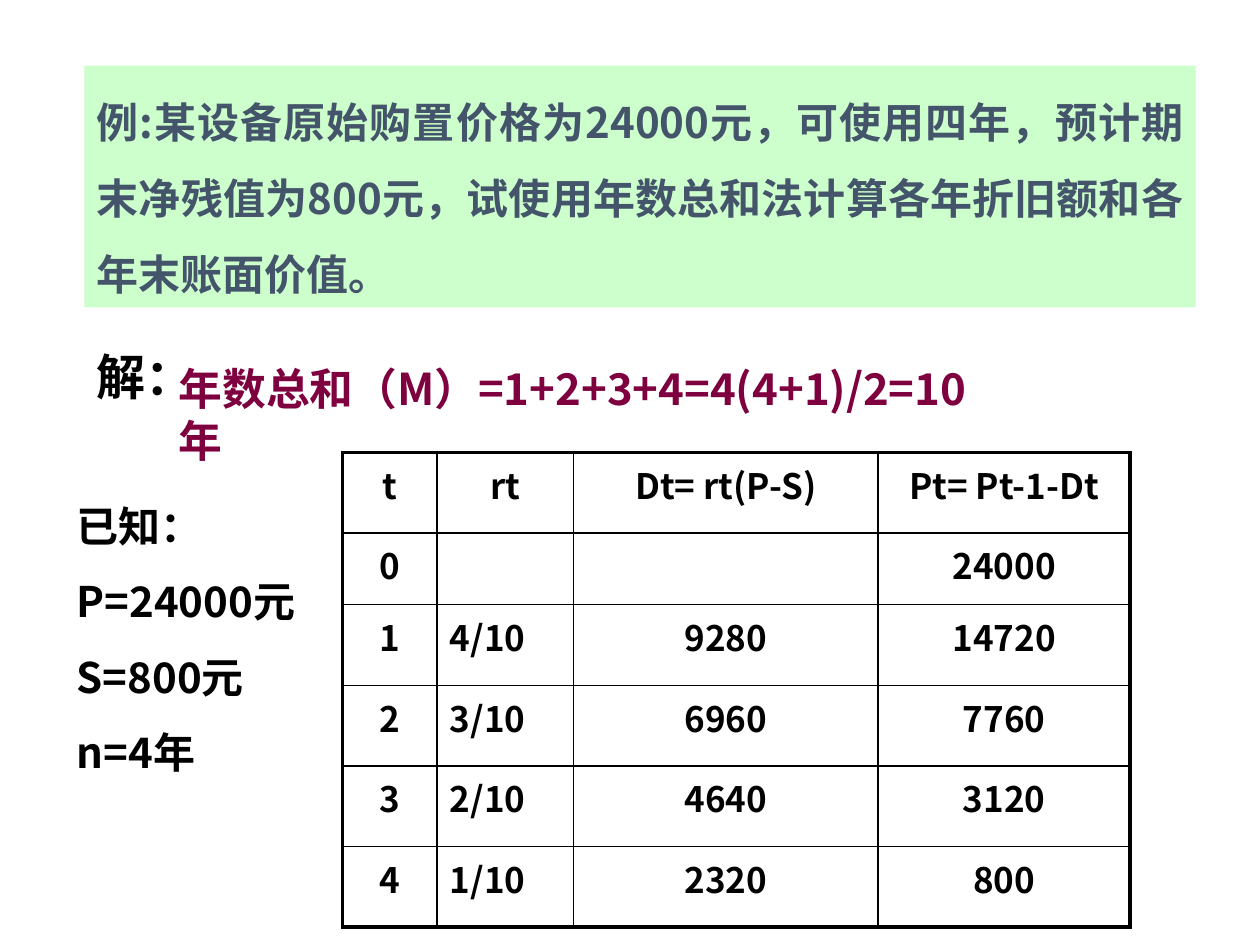
"""Build the sum-of-years-digits depreciation example slide."""
import pptx
import pptx.util
import pptx.dml.color
import pptx.enum.shapes
import pptx.enum.text
import pptx.oxml.ns
import lxml.etree

Inches, Pt = pptx.util.Inches, pptx.util.Pt
ALIGN = pptx.enum.text.PP_ALIGN
SANS, SERIF = "Noto Sans CJK SC", "Times New Roman"
COLORS = {"panel": "CCFFCC", "question": "44546A", "ink": "000000", "formula": "7F003F"}


def write(frame, text, size, color, font=SANS, align=ALIGN.LEFT, spacing=None, before=None):
    frame.text = text
    frame.word_wrap = True
    for paragraph in frame.paragraphs:
        paragraph.alignment = align
        paragraph.line_spacing = spacing
        paragraph.space_before = before
        for run in paragraph.runs:
            run.font.size, run.font.bold, run.font.name = Pt(size), True, font
            run.font.color.rgb = pptx.dml.color.RGBColor.from_string(COLORS[color])
            east_asian = lxml.etree.SubElement(run.font._element, pptx.oxml.ns.qn("a:ea"))
            east_asian.set("typeface", SANS)


def draw_border(cell, side, width):
    properties = cell._tc.get_or_add_tcPr()
    line = lxml.etree.SubElement(properties, pptx.oxml.ns.qn(f"a:ln{side}"), w=str(Pt(width)))
    fill = lxml.etree.SubElement(line, pptx.oxml.ns.qn("a:solidFill"))
    lxml.etree.SubElement(fill, pptx.oxml.ns.qn("a:srgbClr"), val=COLORS["ink"])


deck = pptx.Presentation()
deck.slide_width, deck.slide_height = Inches(10), Inches(7.5)
slide = deck.slides.add_slide(deck.slide_layouts[6])

question = slide.shapes.add_shape(
    pptx.enum.shapes.MSO_SHAPE.RECTANGLE, Inches(0.67), Inches(0.52), Inches(8.82), Inches(1.92))
question.shadow.inherit = False
question.fill.solid()
question.fill.fore_color.rgb = pptx.dml.color.RGBColor.from_string(COLORS["panel"])
question.line.fill.background()
question.text_frame.vertical_anchor = pptx.enum.text.MSO_ANCHOR.TOP
write(question.text_frame,
      "例:某设备原始购置价格为24000元，可使用四年，预计期末净残值为800元，"
      "试使用年数总和法计算各年折旧额和各年末账面价值。",
      24, "question", align=ALIGN.JUSTIFY, spacing=1.5)

schedule = [
    ["t", "rt", "Dt= rt(P-S)", "Pt= Pt-1-Dt"],
    ["0", "", "", "24000"],
    ["1", "4/10", "9280", "14720"],
    ["2", "3/10", "6960", "7760"],
    ["3", "2/10", "4640", "3120"],
    ["4", "1/10", "2320", "800"],
]
column_widths = [0.75, 1.08, 2.42, 2]
row_heights = [0.64, 0.57, 0.64, 0.64, 0.64, 0.64]
last_row, last_column = len(row_heights) - 1, len(column_widths) - 1
table = slide.shapes.add_table(
    len(row_heights), len(column_widths), Inches(2.72), Inches(3.59),
    Inches(sum(column_widths)), Inches(sum(row_heights))).table
table.first_row = table.horz_banding = False
for column, width in zip(table.columns, column_widths):
    column.width = Inches(width)
for r, (values, height) in enumerate(zip(schedule, row_heights)):
    table.rows[r].height = Inches(height)
    for c, value in enumerate(values):
        cell = table.cell(r, c)
        is_rate = c == 1 and r > 0
        write(cell.text_frame, value, 20, "ink", before=Pt(4),
              align=ALIGN.LEFT if is_rate else ALIGN.CENTER)
        outer_edges = {"L": c == 0, "R": c == last_column, "T": r == 0, "B": r == last_row}
        for side, is_outer in outer_edges.items():
            draw_border(cell, side, 2.25 if is_outer else 1)
        cell.fill.background()

givens = slide.shapes.add_textbox(Inches(0.51), Inches(3.72), Inches(2.12), Inches(2.45))
write(givens.text_frame, "已知：\nP=24000元\nS=800元\nn=4年", 24, "ink", spacing=1.5)

solution = slide.shapes.add_group_shape()
answer = solution.shapes.add_textbox(Inches(0.67), Inches(2.7), Inches(0.83), Inches(0.57))
write(answer.text_frame, "解：", 28, "ink", font=SERIF)

year_sum = solution.shapes.add_textbox(Inches(1.42), Inches(2.87), Inches(6.27), Inches(0.42))
frame = year_sum.text_frame
frame.margin_left = frame.margin_right = frame.margin_top = frame.margin_bottom = 0
write(frame, "年数总和（M）=1+2+3+4=4(4+1)/2=10年", 25, "formula")

deck.save("out.pptx")
